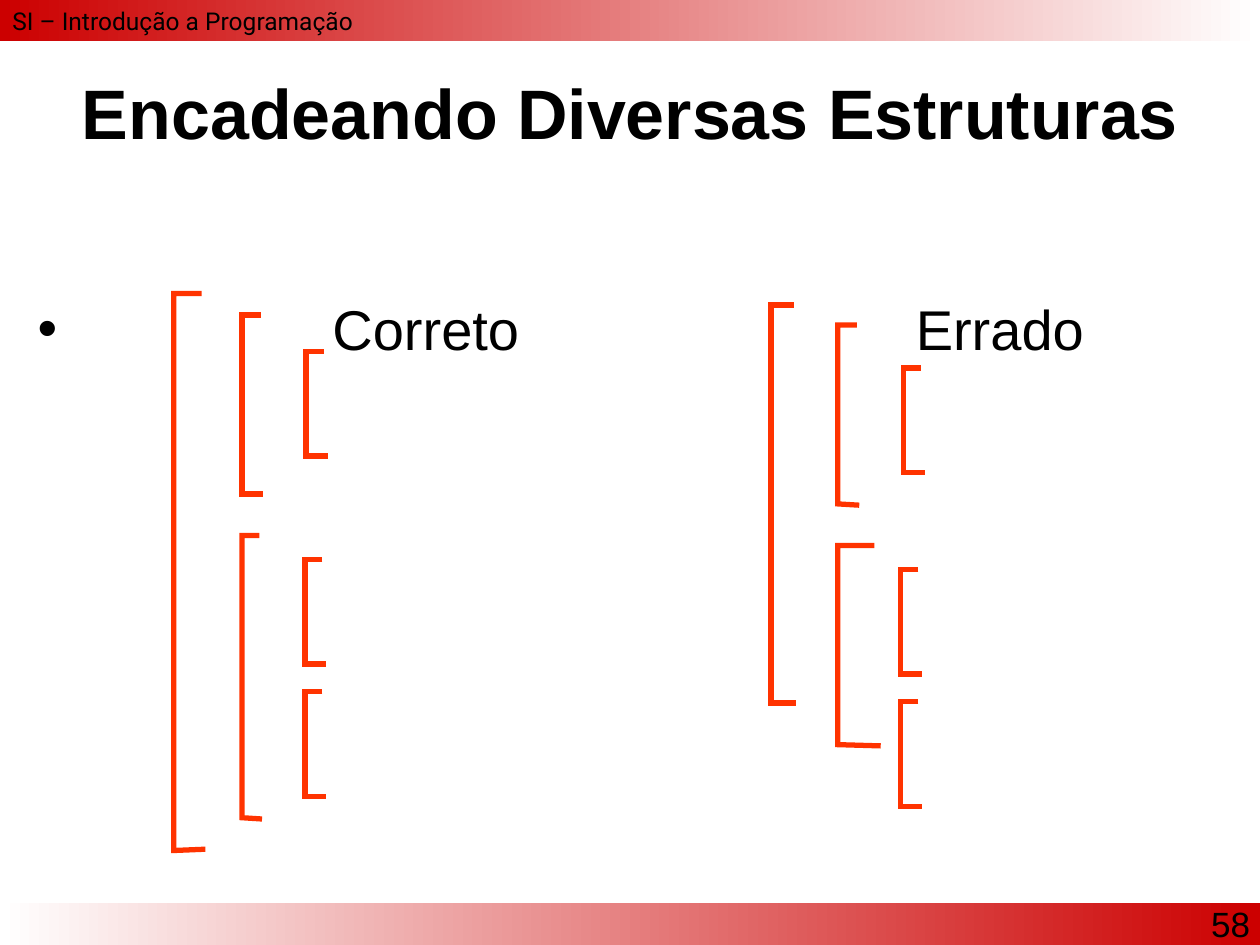
"""Build the slide that contrasts correct and wrong nesting of structures."""
from dataclasses import dataclass

from lxml.etree import SubElement
from pptx import Presentation
from pptx.dml.color import RGBColor
from pptx.enum.text import MSO_ANCHOR, MSO_AUTO_SIZE, PP_ALIGN
from pptx.enum.shapes import MSO_SHAPE
from pptx.oxml.ns import qn
from pptx.slide import Slide
from pptx.text.text import TextFrame, _Paragraph
from pptx.util import Inches, Pt

BLACK = RGBColor(0x00, 0x00, 0x00)
WHITE = RGBColor(0xFF, 0xFF, 0xFF)
RED = RGBColor(0xCC, 0x00, 0x00)
ORANGE = RGBColor(0xFF, 0x33, 0x00)
PAGE_WIDTH = 10
BAND_HEIGHT = 0.33
INDENT = 0.38
TAB_STOPS = (2.34, 6.97)


@dataclass(frozen=True)
class Bracket:
    """A square bracket open to the right, in inches."""
    left: float
    top: float
    bottom: float
    upper_arm: float = 0.14
    lower_arm: float = 0.17
    drop: float = 0


@dataclass(frozen=True)
class Band:
    """A horizontal band fading between two colours."""
    top: float
    start: RGBColor
    end: RGBColor


BANDS = (
    Band(7.17, WHITE, RED),
    Band(0, RED, WHITE),
)
CORRECT = (
    Bracket(1.92, 2.5, 3.92, 0.15),
    Bracket(1.38, 2.33, 6.75, 0.22, 0.25, -0.01),
    Bracket(2.43, 2.79, 3.62),
    Bracket(1.92, 4.25, 6.49, 0.14, 0.16, 0.01),
    Bracket(2.42, 4.44, 5.27),
    Bracket(2.42, 5.49, 6.32),
)
WRONG = (
    Bracket(6.65, 2.58, 4, 0.15, 0.17, 0.01),
    Bracket(6.12, 2.42, 5.58, 0.18, 0.2),
    Bracket(7.17, 2.92, 3.75),
    Bracket(6.65, 4.33, 5.91, 0.29, 0.34, 0.01),
    Bracket(7.15, 4.52, 5.35),
    Bracket(7.15, 5.57, 6.4),
)


def add_band(page: Slide, band: Band) -> None:
    """Draw one full-width gradient band."""
    shape = page.shapes.add_shape(
        MSO_SHAPE.RECTANGLE, 0, Inches(band.top), Inches(PAGE_WIDTH), Inches(BAND_HEIGHT))
    shape.shadow.inherit = False
    shape.line.fill.background()
    shape.fill.gradient()
    shape.fill.gradient_angle = 0
    for stop, color in zip(shape.fill.gradient_stops, (band.start, band.end)):
        stop.color.rgb = color


def add_span(para: _Paragraph, text: str, size: int, font: str = "Arial", bold: bool = False) -> None:
    """Add one formatted run."""
    span = para.add_run()
    span.text = text
    span.font.name = font
    span.font.size = Pt(size)
    span.font.bold = bold
    span.font.color.rgb = BLACK


def add_box(page: Slide, left: float, top: float, width: float, height: float) -> TextFrame:
    """Add a wrapping text box and return its frame."""
    box = page.shapes.add_textbox(Inches(left), Inches(top), Inches(width), Inches(height))
    box.text_frame.word_wrap = True
    return box.text_frame


def add_title(page: Slide, text: str) -> None:
    """Place and fill the title placeholder."""
    title = page.shapes.title
    title.left, title.top = 0, Inches(0.52)
    title.width, title.height = Inches(PAGE_WIDTH), Inches(0.73)
    frame = title.text_frame
    frame.auto_size = MSO_AUTO_SIZE.NONE
    frame.vertical_anchor = MSO_ANCHOR.MIDDLE
    para = frame.paragraphs[0]
    para.alignment = PP_ALIGN.CENTER
    add_span(para, text, 40, bold=True)


def add_headings(page: Slide, headings: tuple[str, ...]) -> None:
    """Write the bulleted line with one heading at each tab stop."""
    frame = add_box(page, 0.2, 1.62, 9.53, 5.46)
    frame.margin_top = Inches(0.72)
    para = frame.paragraphs[0]
    properties = para._p.get_or_add_pPr()
    properties.set("marL", str(Inches(INDENT)))
    properties.set("indent", str(-Inches(INDENT)))
    SubElement(properties, qn("a:buFont"), typeface="Arial")
    SubElement(properties, qn("a:buChar"), char="•")
    tabs = SubElement(properties, qn("a:tabLst"))
    for position in TAB_STOPS:
        SubElement(tabs, qn("a:tab"), pos=str(Inches(position)), algn="l")
    for heading in headings:
        add_span(para, f"\t{heading}", 32)


def add_bracket(page: Slide, bracket: Bracket) -> None:
    """Draw one bracket as an open outline."""
    builder = page.shapes.build_freeform(
        Inches(bracket.left + bracket.upper_arm), Inches(bracket.top))
    corners = (
        (bracket.left, bracket.top),
        (bracket.left, bracket.bottom),
        (bracket.left + bracket.lower_arm, bracket.bottom + bracket.drop),
    )
    builder.add_line_segments([(Inches(x), Inches(y)) for x, y in corners], close=False)
    shape = builder.convert_to_shape()
    shape.shadow.inherit = False
    shape.fill.background()
    shape.line.color.rgb = ORANGE
    shape.line.width = Pt(3)
    SubElement(shape.element.spPr.find(qn("a:ln")), qn("a:miter"), lim="800000")


def main() -> None:
    """Assemble and save the deck."""
    deck = Presentation()
    deck.slide_width, deck.slide_height = Inches(PAGE_WIDTH), Inches(7.5)
    page = deck.slides.add_slide(deck.slide_layouts[5])
    for band in BANDS:
        add_band(page, band)
    header = add_box(page, 0, 0, PAGE_WIDTH, 0.5)
    add_span(header.paragraphs[0], "SI – Introdução a Programação", 14, "Roboto")
    add_title(page, "Encadeando Diversas Estruturas")
    add_headings(page, ("Correto", "Errado"))
    number = add_box(page, 8.67, 7.11, 1.35, 0.5).paragraphs[0]
    number.alignment = PP_ALIGN.RIGHT
    add_span(number, "58", 20)
    for bracket in CORRECT + WRONG:
        add_bracket(page, bracket)
    deck.save("out.pptx")


if __name__ == "__main__":
    main()
